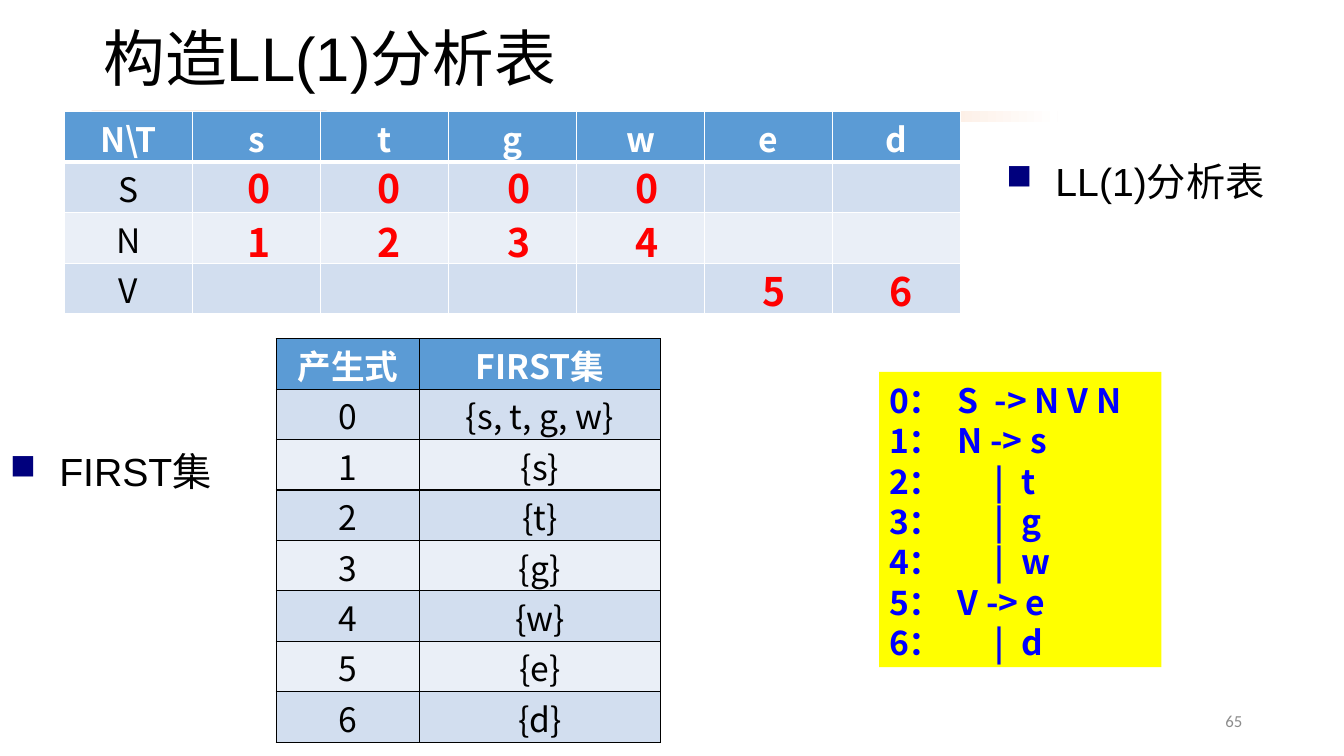
import pptx
import pptx.dml.color
import pptx.enum.shapes
import pptx.enum.text
import pptx.oxml
import pptx.oxml.ns
import pptx.util
from pptx.util import Inches

THEME = {
    "sans": "Arial", "cjk": "Noto Sans CJK SC", "foot": "Calibri",
    "ink": "000000", "white": "FFFFFF", "red": "FF0000", "blue": "0000FF",
    "grey": "8C8C8C", "navy": "00007D", "yellow": "FFFF00", "orange": "ED7D31",
    "head": "5B9BD5", "odd": "D2DEEF", "even": "EAEFF7",
    "title": 44, "body": 28, "cell": 24, "small": 12, "lead": 1.2,
}
TITLE = "构造LL(1)分析表"
PAGE = "65"
NOTES = [("FIRST集", (0, 4.44, 2.54, 0.72)),
         ("LL(1)分析表", (9.88, 1.56, 2.96, 0.72))]
RULES = ["0：\tS\t-> N V N", "1：\tN -> s", "2：\t\t|\tt", "3：\t\t|\tg",
         "4：\t\t|\tw", "5：\tV -> e", "6：\t\t|\td"]
STOPS = [0.68, 1.05, 1.31]
PARSE = [["N\\T", "s", "t", "g", "w", "e", "d"],
         ["S"] + [""] * 6, ["N"] + [""] * 6, ["V"] + [""] * 6]
FIRST = [["产生式", "FIRST集"], ["0", "{s, t, g, w}"], ["1", "{s}"], ["2", "{t}"],
         ["3", "{g}"], ["4", "{w}"], ["5", "{e}"], ["6", "{d}"]]
MARKS = [(1.56, "0000"), (2.1, "1234"), (2.58, "    56")]
MARK_X = [2.36, 3.65, 4.94, 6.21, 7.46, 8.72]
ROW_H = 0.5

ALIGN = pptx.enum.text.PP_ALIGN
ANCHOR = pptx.enum.text.MSO_ANCHOR
RECT = pptx.enum.shapes.MSO_SHAPE.RECTANGLE
NS = pptx.oxml.ns.nsdecls("a")


def rgb(name):
    return pptx.dml.color.RGBColor.from_string(THEME[name])


def xml(text):
    return pptx.oxml.parse_xml(text)


def write(para, text, size, face, color, bold=False):
    run = para.add_run()
    run.text = text
    font = run.font
    font.size = pptx.util.Pt(THEME[size])
    font.name = THEME[face]
    font.bold = bold
    font.color.rgb = rgb(color)
    latin = run._r.rPr.find(pptx.oxml.ns.qn("a:latin"))
    latin.addnext(xml(f'<a:ea {NS} typeface="{THEME["cjk"]}"/>'))


def tighten(para, size):
    para.line_spacing = pptx.util.Pt(THEME[size] * THEME["lead"])


def add_text(shapes, place, anchor=ANCHOR.TOP):
    box = shapes.add_textbox(*map(Inches, place))
    box.text_frame.word_wrap = True
    box.text_frame.vertical_anchor = anchor
    return box.text_frame


def add_bar(shapes, place):
    bar = shapes.add_shape(RECT, *map(Inches, place))
    bar.shadow.inherit = False
    bar.line.fill.background()
    return bar


def add_note(shapes, text, place):
    """Add one line with a square bullet."""
    para = add_text(shapes, place).paragraphs[0]
    prop = para._p.get_or_add_pPr()
    prop.set("marL", str(Inches(0.49)))
    prop.set("indent", str(-Inches(0.49)))
    prop.append(xml(f'<a:buClr {NS}><a:srgbClr val="{THEME["navy"]}"/></a:buClr>'))
    prop.append(xml(f'<a:buSzPct {NS} val="90000"/>'))
    prop.append(xml(f'<a:buChar {NS} char="■"/>'))
    para.line_spacing = 0.9
    write(para, text, "body", "sans", "ink")


def edge(cell, color, top, base):
    """Draw the four borders of a cell; widths in points."""
    prop = cell._tc.get_or_add_tcPr()
    for i, (side, width) in enumerate(zip("LRTB", (1, 1, top, base))):
        prop.insert(i, xml(
            f'<a:ln{side} {NS} w="{pptx.util.Pt(width)}"><a:solidFill>'
            f'<a:srgbClr val="{THEME[color]}"/></a:solidFill></a:ln{side}>'))


def add_grid(shapes, rows, left, top, widths, color, rule):
    """Add a table; rule is the width of the line below its head."""
    table = shapes.add_table(len(rows), len(widths), Inches(left), Inches(top),
                             Inches(sum(widths)), Inches(ROW_H * len(rows))).table
    table.first_row = table.horz_banding = False
    for col, width in zip(table.columns, widths):
        col.width = Inches(width)
    for r, row in enumerate(rows):
        table.rows[r].height = Inches(ROW_H)
        fill = "head" if r == 0 else ("even", "odd")[r % 2]
        for c, text in enumerate(row):
            cell = table.cell(r, c)
            cell.margin_top, cell.margin_bottom = Inches(0.1), 0
            cell.fill.solid()
            cell.fill.fore_color.rgb = rgb(fill)
            edge(cell, color, rule if r == 1 else 1, rule if r == 0 else 1)
            para = cell.text_frame.paragraphs[0]
            para.alignment = ALIGN.CENTER
            if text:
                tighten(para, "cell")
                write(para, text, "cell", "cjk", "ink" if r else "white", r == 0)


def add_rules(shapes):
    box = add_bar(shapes, (8.72, 3.69, 2.8, 2.93))
    box.fill.solid()
    box.fill.fore_color.rgb = rgb("yellow")
    frame = box.text_frame
    frame.word_wrap = True
    frame.vertical_anchor = ANCHOR.TOP
    frame.margin_top = Inches(0.08)
    tabs = "".join(f'<a:tab pos="{Inches(x)}" algn="l"/>' for x in STOPS)
    for i, text in enumerate(RULES):
        para = frame.add_paragraph() if i else frame.paragraphs[0]
        para._p.get_or_add_pPr().append(xml(f"<a:tabLst {NS}>{tabs}</a:tabLst>"))
        para.alignment = ALIGN.LEFT
        tighten(para, "cell")
        write(para, text, "cell", "cjk", "blue", True)


def add_marks(shapes):
    """Place the rule numbers over the parse table."""
    for i, (top, marks) in enumerate(MARKS):
        home = shapes if i else shapes.add_group_shape().shapes
        for left, mark in zip(MARK_X, marks):
            if mark != " ":
                frame = add_text(home, (left, top, 0.57, 0.57))
                frame.margin_top = Inches(0.07)
                para = frame.paragraphs[0]
                tighten(para, "body")
                write(para, mark, "body", "cjk", "red", True)


def main():
    deck = pptx.Presentation()
    deck.slide_width, deck.slide_height = Inches(13.33), Inches(7.5)
    shapes = deck.slides.add_slide(deck.slide_layouts[6]).shapes

    bar = add_bar(shapes, (0.91, 1.1, 2.33, 0.11))
    bar.fill.solid()
    bar.fill.fore_color.rgb = rgb("orange")
    fade = add_bar(shapes, (2.57, 1.1, 7.92, 0.11)).fill
    fade.gradient()
    fade.gradient_angle = 0
    for stop, color in zip(fade.gradient_stops, ("orange", "white")):
        stop.color.rgb = rgb(color)

    para = add_text(shapes, (0.93, 0.17, 11.14, 0.89), ANCHOR.MIDDLE).paragraphs[0]
    para.line_spacing = 0.9
    write(para, TITLE, "title", "sans", "ink")
    para = add_text(shapes, (9.42, 6.95, 3, 0.4), ANCHOR.MIDDLE).paragraphs[0]
    para.alignment = ALIGN.RIGHT
    write(para, PAGE, "small", "foot", "grey")

    add_rules(shapes)
    add_grid(shapes, PARSE, 0.64, 1.11, [1.27] * 7, "white", 3)
    add_grid(shapes, FIRST, 2.74, 3.36, [1.42, 2.39], "ink", 1)
    for text, place in NOTES:
        add_note(shapes, text, place)
    add_marks(shapes)
    deck.save("out.pptx")


if __name__ == "__main__":
    main()
